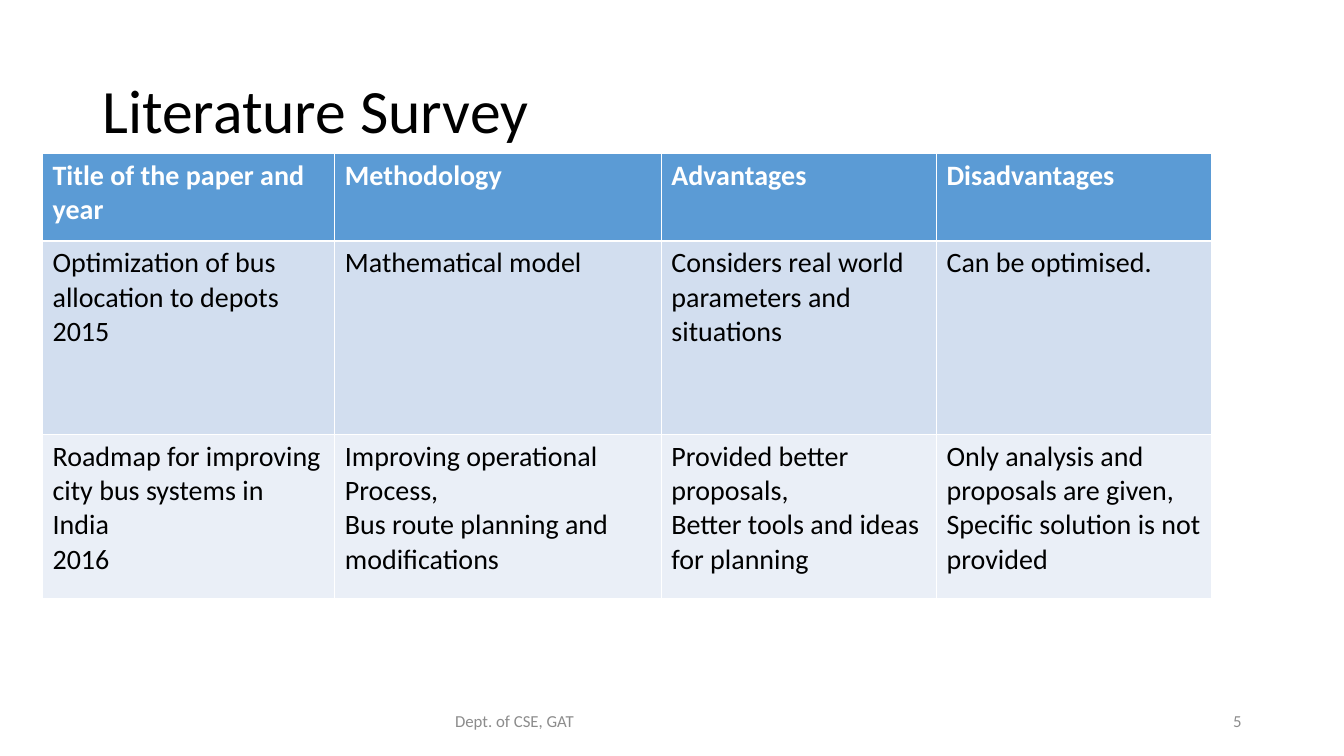
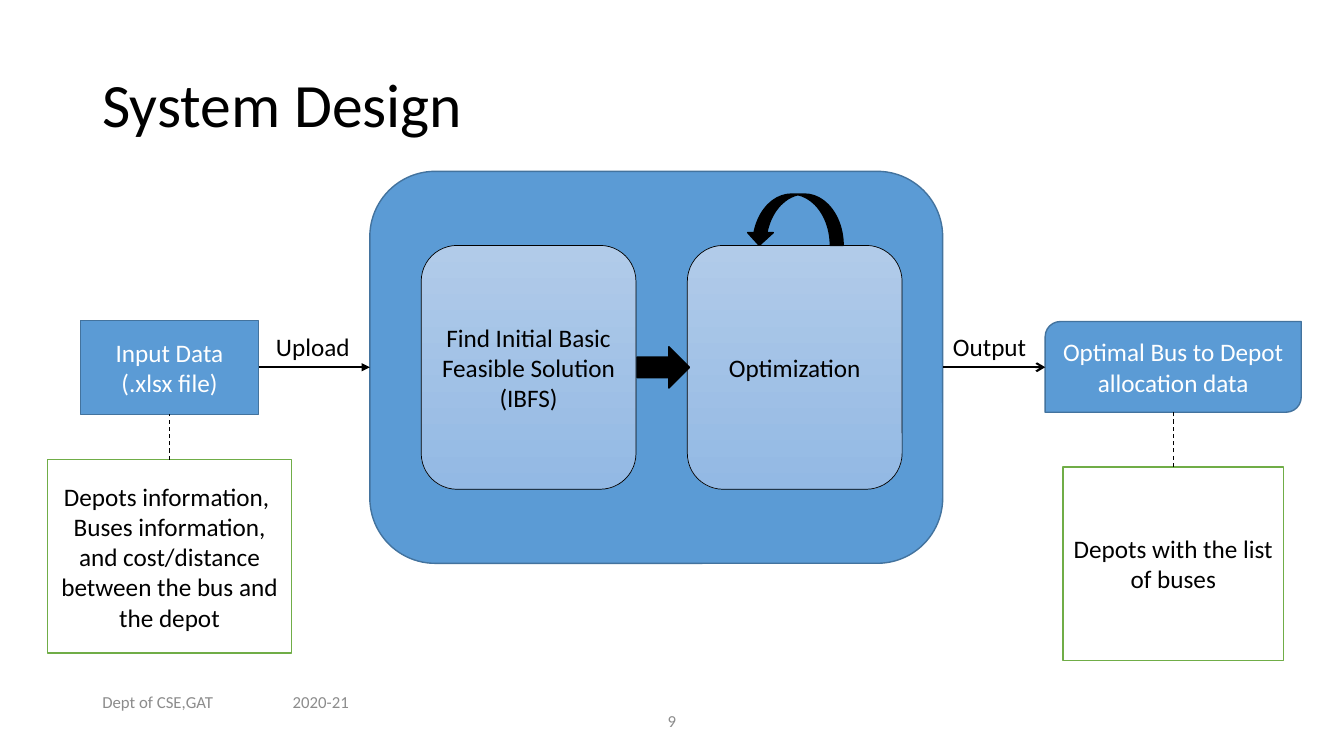
from lxml.etree import SubElement
from pptx import Presentation
from pptx.dml.color import RGBColor
from pptx.enum.dml import MSO_LINE
from pptx.enum.shapes import MSO_CONNECTOR, MSO_SHAPE as SHAPE
from pptx.enum.text import MSO_ANCHOR as ANCHOR, PP_ALIGN as ALIGN
from pptx.oxml.ns import qn
from pptx.util import Pt

FONT = "Calibri"
BLACK = RGBColor(0x00, 0x00, 0x00)
WHITE = RGBColor(0xFF, 0xFF, 0xFF)
GREY = RGBColor(0x8C, 0x8C, 0x8C)
BLUE = RGBColor(0x5B, 0x9B, 0xD5)
BLUE_EDGE = RGBColor(0x43, 0x73, 0x9E)
GREEN = RGBColor(0x70, 0xAD, 0x47)
BAND_DARK = RGBColor(0xD2, 0xDE, 0xEF)
BAND_LIGHT = RGBColor(0xEA, 0xEF, 0xF7)
STAGE_TOP = RGBColor(0xB1, 0xCB, 0xE9)
STAGE_BOTTOM = RGBColor(0x93, 0xB9, 0xE4)


def points(*lengths):
    return [Pt(length) for length in lengths]


def write(frame, text, size=18, color=BLACK, bold=False, align=ALIGN.LEFT,
          anchor=ANCHOR.TOP, spacing=None, tab=None):
    frame.word_wrap = True
    frame.vertical_anchor = anchor
    for index, line in enumerate(text.split("\n")):
        paragraph = frame.add_paragraph() if index else frame.paragraphs[0]
        paragraph.alignment = align
        if spacing:
            paragraph.line_spacing = spacing
        if tab:
            stops = SubElement(paragraph._p.get_or_add_pPr(), qn("a:tabLst"))
            SubElement(stops, qn("a:tab"), pos=str(Pt(tab)), algn="l")
        run = paragraph.add_run()
        run.text = line
        run.font.name = FONT
        run.font.size = Pt(size)
        run.font.bold = bold
        run.font.color.rgb = color


def add_label(slide, box, text, **style):
    write(slide.shapes.add_textbox(*points(*box)).text_frame, text, **style)


def add_title(slide, top, text):
    add_label(slide, (66, top, 828, 104.4), text, size=44, spacing=0.9,
              anchor=ANCHOR.MIDDLE)


def add_footer(slide, box, text, **style):
    add_label(slide, box, text, size=12, color=GREY, anchor=ANCHOR.MIDDLE, **style)


def add_block(slide, kind, box, fill, edge, edge_width=1, text="", color=BLACK):
    block = slide.shapes.add_shape(kind, *points(*box))
    block.shadow.inherit = False
    if isinstance(fill, RGBColor):
        block.fill.solid()
        block.fill.fore_color.rgb = fill
    else:
        block.fill.gradient()
        block.fill.gradient_angle = 270
        for stop, shade in zip(block.fill.gradient_stops, fill):
            stop.color.rgb = shade
    block.line.color.rgb = edge
    block.line.width = Pt(edge_width)
    if text:
        write(block.text_frame, text, color=color, align=ALIGN.CENTER,
              anchor=ANCHOR.MIDDLE)
    return block


def add_line(slide, start, end, width, dash=None, head=None):
    line = slide.shapes.add_connector(MSO_CONNECTOR.STRAIGHT, *points(*start, *end))
    line.line.color.rgb = BLACK
    line.line.width = Pt(width)
    if dash:
        line.line.dash_style = dash
    if head:
        SubElement(line.line._get_or_add_ln(), qn("a:tailEnd"), type=head)
    SubElement(line._element.spPr, qn("a:effectLst"))


def add_survey(slide, box, papers, widths, heights):
    survey = slide.shapes.add_table(len(papers), len(widths), *points(*box)).table
    for column, width in zip(survey.columns, widths):
        column.width = Pt(width)
    for number, (row, height, texts) in enumerate(zip(survey.rows, heights, papers)):
        row.height = Pt(height)
        heading = number == 0
        band = BLUE if heading else BAND_DARK if number % 2 else BAND_LIGHT
        for cell, text in zip(row.cells, texts):
            cell.fill.solid()
            cell.fill.fore_color.rgb = band
            write(cell.text_frame, text, size=20, bold=heading,
                  color=WHITE if heading else BLACK)


def add_data(slide, box, kind, data, data_size, note, note_size):
    left, top, width, height = box
    center = left + width / 2
    data_width, data_height = data_size
    note_width, note_height = note_size
    note_top = top + height - note_height
    add_block(slide, kind, (center - data_width / 2, top, data_width, data_height),
              BLUE, BLUE_EDGE, text=data, color=WHITE)
    add_block(slide, SHAPE.RECTANGLE,
              (center - note_width / 2, note_top, note_width, note_height),
              WHITE, GREEN, text=note)
    add_line(slide, (center, note_top), (center, top + data_height), 0.75,
             dash=MSO_LINE.DASH)


def add_solver(slide, box, stages):
    left, top, width, height = box
    stage_width, stage_height, gap = 153.4, 174.2, 36.7
    middle = top + height / 2
    stage_top = middle - stage_height / 2
    add_block(slide, SHAPE.ROUNDED_RECTANGLE, box, BLUE, BLUE_EDGE)
    for number, stage in enumerate(stages):
        stage_left = left + gap + number * (stage_width + gap)
        add_block(slide, SHAPE.ROUNDED_RECTANGLE,
                  (stage_left, stage_top, stage_width, stage_height),
                  (STAGE_TOP, STAGE_BOTTOM), BLACK, 0.5, stage)
    loop_width, loop_height = 69.1, 36.7
    loop = add_block(slide, SHAPE.CURVED_UP_ARROW,
                     (stage_left + (stage_width - loop_width) / 2,
                      stage_top - loop_height, loop_width, loop_height), BLACK, BLACK)
    loop.rotation = 180
    add_block(slide, SHAPE.RIGHT_ARROW,
              (stage_left - gap + 0.8, middle - 14.75, 37.4, 29.5), BLACK, BLACK)


def add_flow(slide, box, text, indent, head):
    left, top, width, height = box
    add_label(slide, (left + indent, top, 98, height), text)
    add_line(slide, (left, top + height), (left + width, top + height), 1.5, head=head)


def build_survey_slide(slide):
    add_title(slide, 28.8, "Literature Survey")
    papers = [
        ("Title of the paper and year", "Methodology", "Advantages", "Disadvantages"),
        ("Optimization of bus allocation to depots\n2015", "Mathematical model",
         "Considers real world parameters and situations", "Can be optimised."),
        ("Roadmap for improving city bus systems in India\n2016",
         "Improving operational Process,\nBus route planning and modifications",
         "Provided better proposals,\nBetter tools and ideas for planning",
         "Only analysis and proposals are given,\nSpecific solution is not provided"),
    ]
    add_survey(slide, (30.4, 109.6, 835.2, 318.2), papers,
               (208.8, 233.2, 196.6, 196.6), (62.6, 138.2, 117.4))
    add_footer(slide, (318, 500.4, 324, 28.8), "Dept. of CSE, GAT")
    add_footer(slide, (678, 500.4, 216, 28.8), "5", align=ALIGN.RIGHT)


def build_design_slide(slide):
    add_title(slide, 24.5, "System Design")
    add_solver(slide, (264.2, 122.4, 409.2, 280),
               ("Find Initial Basic Feasible Solution (IBFS)", "Optimization"))
    add_data(slide, (34, 229, 174.2, 237.6), SHAPE.RECTANGLE,
             "Input Data\n(.xlsx file)", (127.4, 67),
             "Depots information, \nBuses information, and cost/distance "
             "between the bus and the depot", (174.2, 138.2))
    add_data(slide, (746.6, 229.7, 182.9, 242), SHAPE.ROUND_2_DIAG_RECTANGLE,
             "Optimal Bus to Depot allocation data", (182.9, 64.8),
             "Depots with the list of buses", (157.7, 138.2))
    add_flow(slide, (185, 233.3, 79.2, 29), "Upload", 5, "triangle")
    add_flow(slide, (673.6, 233.3, 73, 29), "Output", 0, "arrow")
    add_footer(slide, (318, 500.4, 324, 28.8), "9", align=ALIGN.CENTER)
    add_footer(slide, (66, 487, 216, 28.8), "Dept of CSE,GAT\t2020-21", tab=136)


deck = Presentation()
deck.slide_width, deck.slide_height = points(960, 540)
for build in (build_survey_slide, build_design_slide):
    build(deck.slides.add_slide(deck.slide_layouts[6]))
deck.save("out.pptx")
